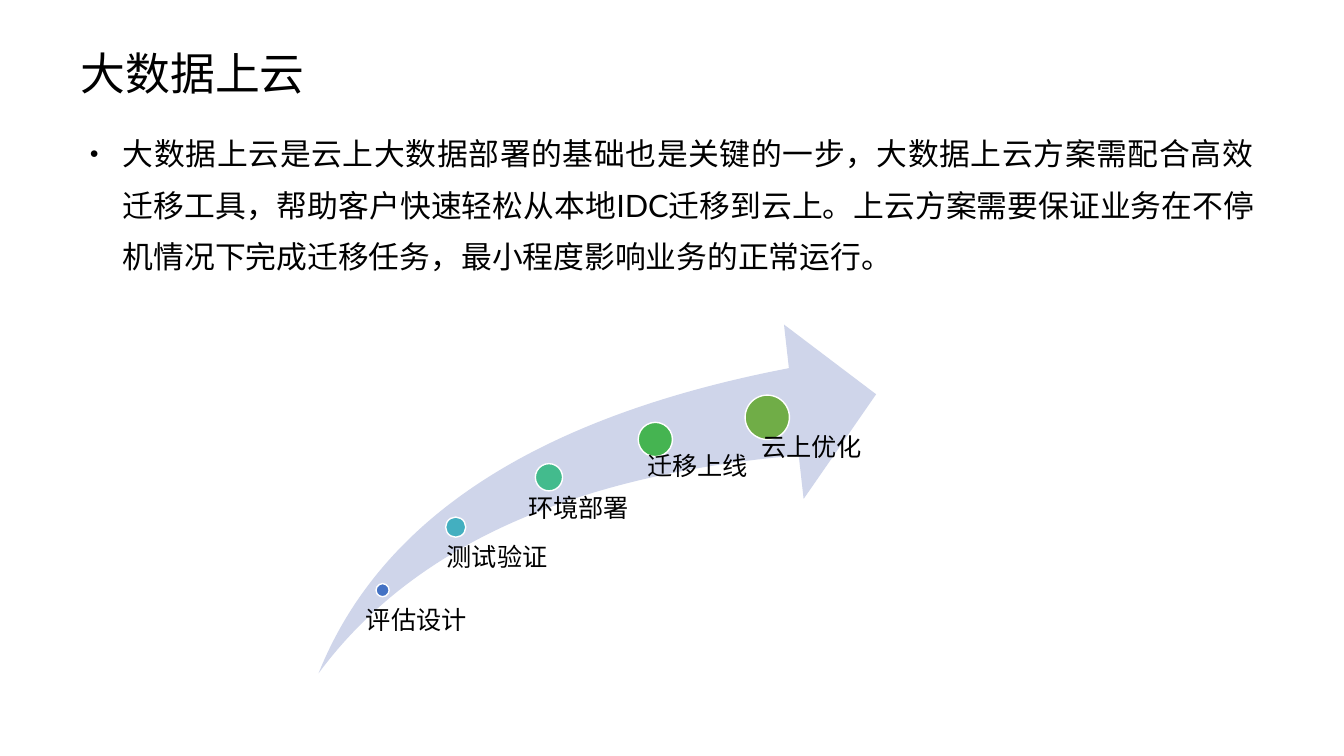
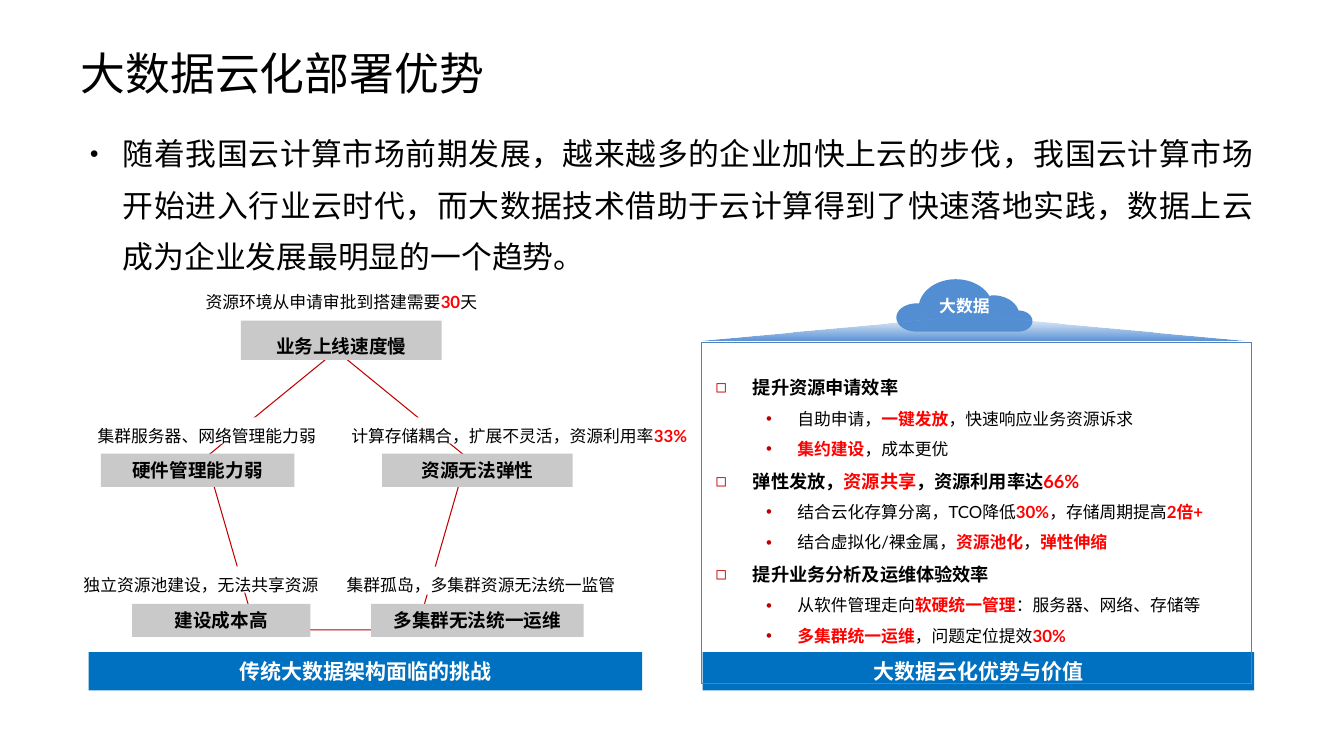
from dataclasses import dataclass
from math import cos, radians, sin

from lxml.etree import SubElement
from pptx import Presentation
from pptx.dml.color import RGBColor
from pptx.enum.shapes import MSO_SHAPE
from pptx.enum.text import MSO_ANCHOR, MSO_AUTO_SIZE, PP_ALIGN
from pptx.oxml.ns import qn
from pptx.util import Inches, Pt


@dataclass(frozen=True)
class Theme:
    font: str = "Lato"
    text: str = "000000"
    white: str = "FFFFFF"
    highlight: str = "FF0000"
    accent: str = "C00000"
    arrow: str = "CFD5EA"
    tag: str = "C9C9C9"
    bar: str = "0070C0"
    cloud: str = "538ED3"
    roof: str = "548FD5"
    panel: str = "4F81BD"
    title_size: float = 32
    body_size: float = 22
    step_size: float = 18
    bar_size: float = 15
    tag_size: float = 13.3
    heading_size: float = 13
    note_size: float = 12


theme = Theme()


def add_box(page, kind, at, fill=None, line=None, line_width=0.75,
            margins=(0, 0), anchor=MSO_ANCHOR.TOP):
    """Add a preset shape, or a text box when kind is None."""
    place = [Inches(length) for length in at]
    if kind is None:
        box = page.shapes.add_textbox(*place)
    else:
        box = page.shapes.add_shape(kind, *place)
        box.shadow.inherit = False
        if fill:
            box.fill.solid()
            box.fill.fore_color.rgb = RGBColor.from_string(fill)
        else:
            box.fill.background()
        if line:
            box.line.color.rgb = RGBColor.from_string(line)
            box.line.width = Pt(line_width)
        else:
            box.line.fill.background()
    frame = box.text_frame
    frame.word_wrap = True
    frame.vertical_anchor = anchor
    frame.margin_left = frame.margin_right = Inches(margins[0])
    frame.margin_top = frame.margin_bottom = Inches(margins[1])
    return box


def add_text(para, marked, size, color=theme.text, bold=False,
             align=PP_ALIGN.LEFT, spacing=None, bullet=None):
    """Fill a paragraph; parts between bars are highlighted."""
    if bullet:
        mark, left, hang, percent, mark_color = bullet
        props = para._p.get_or_add_pPr()
        props.set("marL", str(Inches(left)))
        props.set("indent", str(-Inches(hang)))
        tint = SubElement(props, qn("a:buClr"))
        SubElement(tint, qn("a:srgbClr"), val=mark_color)
        SubElement(props, qn("a:buSzPct"), val=str(percent * 1000))
        SubElement(props, qn("a:buFont"), typeface="Arial")
        SubElement(props, qn("a:buChar"), char=mark)
    para.alignment = align
    if spacing:
        para.line_spacing = spacing
    for index, part in enumerate(marked.split("|")):
        if not part:
            continue
        marked_part = index % 2 == 1
        span = para.add_run()
        span.text = part
        span.font.size = Pt(size)
        span.font.bold = bold or marked_part
        span.font.name = theme.font
        span.font.color.rgb = RGBColor.from_string(
            theme.highlight if marked_part else color)
        SubElement(span._r.get_or_add_rPr(), qn("a:ea"), typeface=theme.font)


deck = Presentation()
deck.slide_width, deck.slide_height = Inches(13.33), Inches(7.5)

# Title and summary of each slide
summaries = [
    ("大数据上云",
     "大数据上云是云上大数据部署的基础也是关键的一步，大数据上云方案需配合高效"
     "迁移工具，帮助客户快速轻松从本地IDC迁移到云上。上云方案需要保证业务在不"
     "停机情况下完成迁移任务，最小程度影响业务的正常运行。"),
    ("大数据云化部署优势",
     "随着我国云计算市场前期发展，越来越多的企业加快上云的步伐，我国云计算市场"
     "开始进入行业云时代，而大数据技术借助于云计算得到了快速落地实践，数据上云"
     "成为企业发展最明显的一个趋势。"),
]
pages = []
for heading, summary in summaries:
    page = deck.slides.add_slide(deck.slide_layouts[5])
    title = page.shapes.title
    title.left, title.top = Inches(0.8), Inches(0.49)
    title.width, title.height = Inches(11.73), Inches(0.53)
    frame = title.text_frame
    frame.auto_size = MSO_AUTO_SIZE.NONE
    frame.vertical_anchor = MSO_ANCHOR.MIDDLE
    frame.margin_left = frame.margin_right = 0
    frame.margin_top = frame.margin_bottom = 0
    add_text(frame.paragraphs[0], heading, theme.title_size, spacing=0.9)
    box = add_box(page, None, (0.8, 1.15, 11.73, 1.8), margins=(0.09, 0.04))
    add_text(box.text_frame.paragraphs[0], summary, theme.body_size,
             align=PP_ALIGN.JUSTIFY, spacing=1.4,
             bullet=("●", 0.33, 0.33, 50, theme.text))
    pages.append(page)
journey, benefits = pages

# Migration arrow with its five steps
arrow = add_box(journey, MSO_SHAPE.SWOOSH_ARROW, (3.16, 3.22, 5.53, 3.46),
                theme.arrow)
arrow.adjustments[0] = arrow.adjustments[1] = 0.25
steps = [  # name, dot left, top, size, colour, label left, label middle
    ("评估设计", 3.73, 5.79, 0.13, "4472C4", 3.63, 6.15),
    ("测试验证", 4.42, 5.13, 0.2, "43AFC0", 4.43, 5.52),
    ("环境部署", 5.31, 4.6, 0.27, "43BB8D", 5.24, 5.03),
    ("迁移上线", 6.33, 4.19, 0.34, "45B451", 6.42, 4.62),
    ("云上优化", 7.39, 3.92, 0.44, "70AD47", 7.55, 4.43),
]
for name, left, top, size, color, label_left, middle in steps:
    add_box(journey, MSO_SHAPE.OVAL, (left, top, size, size), color,
            theme.white, 1)
    label = add_box(journey, None, (label_left, middle - 0.2, 1.3, 0.4),
                    anchor=MSO_ANCHOR.MIDDLE)
    add_text(label.text_frame.paragraphs[0], name, theme.step_size)

# Bars naming the two halves
for caption, left, width in [("传统大数据架构面临的挑战", 0.88, 5.49),
                             ("大数据云化优势与价值", 6.97, 5.47)]:
    bar = add_box(benefits, MSO_SHAPE.RECTANGLE, (left, 6.47, width, 0.38),
                  theme.bar, anchor=MSO_ANCHOR.MIDDLE)
    add_text(bar.text_frame.paragraphs[0], caption, theme.bar_size,
             theme.white, True, PP_ALIGN.CENTER)

# Challenges around the pentagon
add_box(benefits, MSO_SHAPE.REGULAR_PENTAGON, (2.04, 3.48, 2.59, 2.77),
        line=theme.accent)
tags = [
    ("业务上线速度慢", (2.39, 3.18, 1.99, 0.39), 1.4),
    ("资源无法弹性", (3.79, 4.5, 1.89, 0.33), None),
    ("硬件管理能力弱", (1, 4.5, 1.92, 0.33), None),
    ("多集群无法统一运维", (3.68, 5.99, 2.11, 0.33), None),
    ("建设成本高", (1.31, 5.99, 1.77, 0.33), None),
]
for name, at, spacing in tags:
    tag = add_box(benefits, MSO_SHAPE.RECTANGLE, at, theme.tag,
                  margins=(0.1, 0.05))
    add_text(tag.text_frame.paragraphs[0], name, theme.tag_size, bold=True,
             align=PP_ALIGN.CENTER, spacing=spacing)
notes = [
    ("资源环境从申请审批到搭建需要|30|天", (1.83, 2.77, 3.11, 0.36), 0.05,
     PP_ALIGN.CENTER),
    ("计算存储耦合，扩展不灵活，资源利用率|33%|", (3.25, 4.14, 3.8, 0.26), 0,
     PP_ALIGN.CENTER),
    ("集群服务器、网络管理能力弱", (0.87, 4.14, 2.47, 0.26), 0, PP_ALIGN.LEFT),
    ("独立资源池建设，无法共享资源", (0.73, 5.62, 2.94, 0.26), 0, PP_ALIGN.LEFT),
    ("集群孤岛，多集群资源无法统一监管", (3.34, 5.62, 3.45, 0.28), 0,
     PP_ALIGN.LEFT),
]
for words, at, margin, align in notes:
    note = add_box(benefits, MSO_SHAPE.RECTANGLE, at, theme.white,
                   margins=(0.1, margin))
    add_text(note.text_frame.paragraphs[0], words, theme.note_size,
             align=align, spacing=1.4)

# Cloud outlined by four arcs
arcs = [  # centre x, centre y, radius x, radius y, first and last angle
    (10.1, 3.185, 0.14, 0.105, -90, 90),
    (9.85, 3.13, 0.26, 0.2, 14, 95),
    (9.48, 3.06, 0.37, 0.29, 24, 170),
    (9.09, 3.15, 0.2, 0.14, 90, 270),
]
parts = 24
outline = []
for x, y, radius_x, radius_y, first, last in arcs:
    for step in range(parts + 1):
        angle = radians(first + (last - first) * step / parts)
        outline.append((Inches(x + radius_x * cos(angle)),
                        Inches(y - radius_y * sin(angle))))
builder = benefits.shapes.build_freeform(*outline[0], scale=1.0)
builder.add_line_segments(outline[1:], close=True)
cloud = builder.convert_to_shape()
cloud.shadow.inherit = False
cloud.fill.solid()
cloud.fill.fore_color.rgb = RGBColor.from_string(theme.cloud)
cloud.line.fill.background()
frame = cloud.text_frame
frame.vertical_anchor = MSO_ANCHOR.MIDDLE
frame.margin_top = frame.margin_bottom = 0
add_text(frame.paragraphs[0], "大数据", theme.note_size, theme.white, True,
         PP_ALIGN.CENTER)

# Benefits list
values = [
    ("提升资源申请效率",
     ["自助申请，|一键发放|，快速响应业务资源诉求",
      "|集约建设|，成本更优"]),
    ("弹性发放，|资源共享|，资源利用率达|66%|",
     ["结合云化存算分离，TCO降低|30%|，存储周期提高|2倍+|",
      "结合虚拟化/裸金属，|资源池化|，|弹性伸缩|"]),
    ("提升业务分析及运维体验效率",
     ["从软件管理走向|软硬统一管理|：服务器、网络、存储等",
      "|多集群统一运维|，问题定位提效|30%|"]),
]
frame = add_box(benefits, None, (7, 3.58, 5.44, 2.91),
                margins=(0.1, 0.05)).text_frame
para = frame.paragraphs[0]
for heading, details in values:
    if para is None:
        para = frame.add_paragraph()
    add_text(para, heading, theme.heading_size, bold=True, spacing=1.5,
             bullet=("◻", 0.37, 0.37, 100, theme.accent))
    for detail in details:
        para = frame.add_paragraph()
        para.level = 1
        add_text(para, detail, theme.note_size, spacing=1.5,
                 bullet=("•", 0.81, 0.31, 100, theme.accent))
    para = None

# Panel frame and its fading roof
add_box(benefits, MSO_SHAPE.RECTANGLE, (6.96, 3.4, 5.45, 3.38),
        line=theme.panel)
roof = add_box(benefits, MSO_SHAPE.ISOSCELES_TRIANGLE,
               (6.94, 3.13, 5.45, 0.25), theme.roof)
roof.fill.gradient()
roof.fill.gradient_angle = 270
for stop, position in zip(roof.fill.gradient_stops, (0, 1)):
    stop.color.rgb = RGBColor.from_string(theme.roof)
    stop.position = position
top_color = roof._element.spPr.find(".//" + qn("a:srgbClr"))
SubElement(top_color, qn("a:alpha"), val="0")

deck.save("out.pptx")
